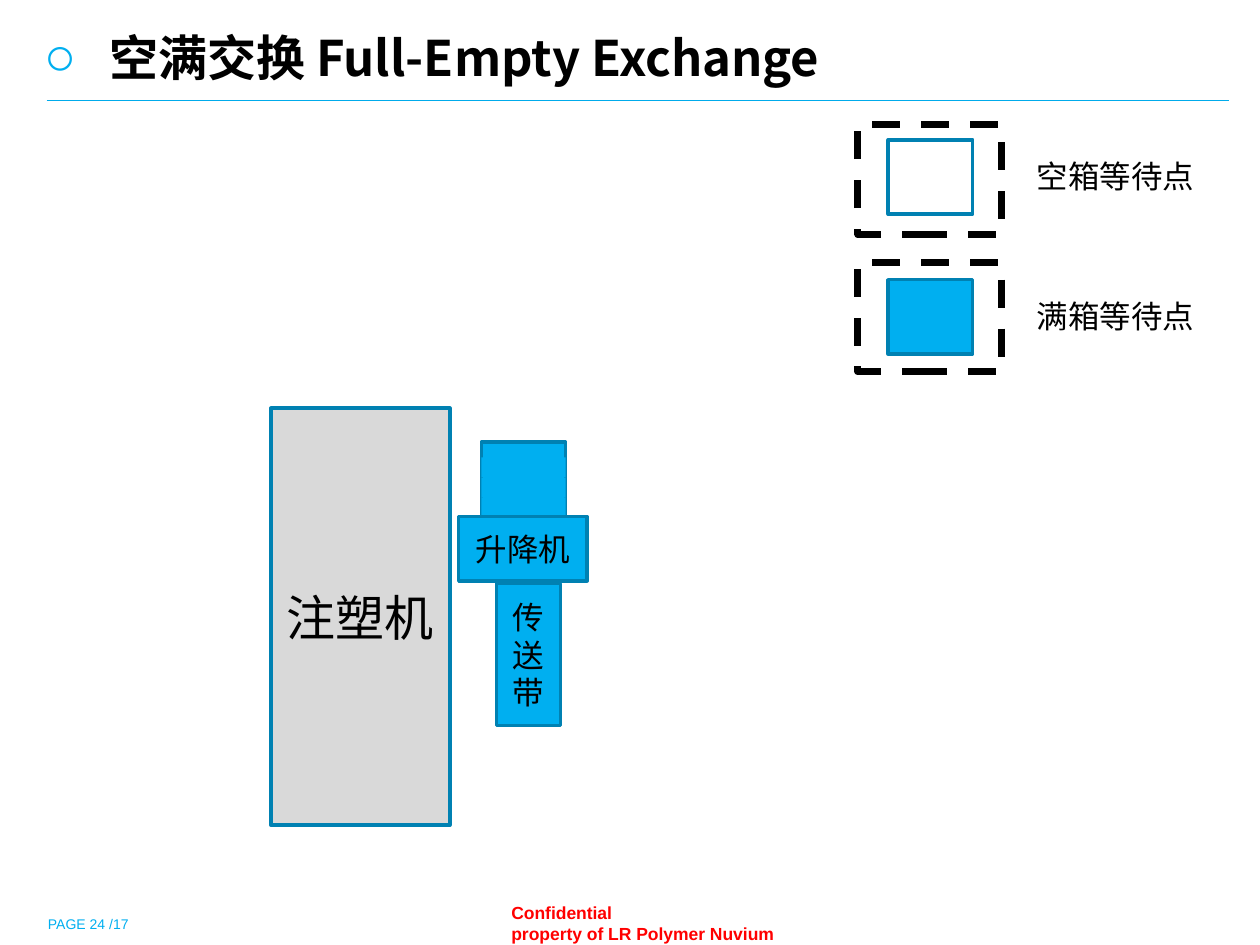
from dataclasses import dataclass
from typing import Optional

from lxml.etree import SubElement
from pptx import Presentation
from pptx.dml.color import RGBColor
from pptx.enum.dml import MSO_LINE
from pptx.enum.shapes import MSO_CONNECTOR, MSO_SHAPE
from pptx.enum.text import MSO_ANCHOR, PP_ALIGN
from pptx.oxml.ns import qn
from pptx.util import Inches, Pt


@dataclass(frozen=True)
class Theme:
    blue: str = "00AFF0"
    edge: str = "0081B2"
    rule: str = "00ABEB"
    grey: str = "D9D9D9"
    white: str = "FFFFFF"
    black: str = "000000"
    red: str = "FF0000"
    latin: str = "Arial"
    cjk: str = "Noto Sans CJK SC"
    heading: int = 28
    label: int = 18
    notice: int = 10
    page: int = 8


THEME = Theme()


@dataclass(frozen=True)
class Box:
    left: float
    top: float
    width: float
    height: float
    fill: Optional[str] = THEME.blue
    edge: Optional[str] = THEME.edge
    weight: float = 2
    dashed: bool = False
    text: str = ""
    size: int = THEME.label


@dataclass(frozen=True)
class Label:
    left: float
    top: float
    width: float
    height: float
    text: str
    size: int = THEME.label
    color: str = THEME.black
    font: str = THEME.latin
    bold: bool = False
    flush: bool = False
    bullet: bool = False


def rgb(value: str) -> RGBColor:
    return RGBColor.from_string(value)


def style_text(frame, size: int, color: str, font: str, bold: bool = False) -> None:
    for paragraph in frame.paragraphs:
        for run in paragraph.runs:
            run.font.size = Pt(size)
            run.font.name = font
            run.font.bold = bold
            run.font.color.rgb = rgb(color)
            SubElement(run.font._element, qn("a:ea"), typeface=THEME.cjk)


def add_bullet(paragraph) -> None:
    properties = paragraph._p.get_or_add_pPr()
    properties.set("marL", str(Inches(0.52)))
    properties.set("indent", str(Inches(-0.52)))
    color = SubElement(properties, qn("a:buClr"))
    SubElement(color, qn("a:srgbClr"), val=THEME.blue)
    SubElement(properties, qn("a:buSzPct"), val="110000")
    SubElement(properties, qn("a:buFont"), typeface=THEME.latin)
    SubElement(properties, qn("a:buChar"), char="○")


def draw_box(slide, box: Box) -> None:
    shape = slide.shapes.add_shape(
        MSO_SHAPE.RECTANGLE, Inches(box.left), Inches(box.top),
        Inches(box.width), Inches(box.height))
    shape.shadow.inherit = False
    if box.fill:
        shape.fill.solid()
        shape.fill.fore_color.rgb = rgb(box.fill)
    else:
        shape.fill.background()
    if box.edge:
        shape.line.color.rgb = rgb(box.edge)
        shape.line.width = Pt(box.weight)
        if box.dashed:
            shape.line.dash_style = MSO_LINE.DASH
    else:
        shape.line.fill.background()
    if box.text:
        frame = shape.text_frame
        frame.text = box.text
        frame.word_wrap = True
        frame.vertical_anchor = MSO_ANCHOR.MIDDLE
        frame.paragraphs[0].alignment = PP_ALIGN.CENTER
        style_text(frame, box.size, THEME.black, THEME.latin)


def draw_label(slide, label: Label) -> None:
    frame = slide.shapes.add_textbox(
        Inches(label.left), Inches(label.top),
        Inches(label.width), Inches(label.height)).text_frame
    frame.word_wrap = True
    frame.text = label.text
    if label.flush:
        frame.margin_left = frame.margin_right = 0
        frame.margin_top = frame.margin_bottom = 0
        frame.vertical_anchor = MSO_ANCHOR.BOTTOM
    if label.bullet:
        add_bullet(frame.paragraphs[0])
    style_text(frame, label.size, label.color, label.font, label.bold)


def draw_rule(slide, left: float, right: float, top: float) -> None:
    rule = slide.shapes.add_connector(
        MSO_CONNECTOR.STRAIGHT, Inches(left), Inches(top), Inches(right), Inches(top))
    rule.line.color.rgb = rgb(THEME.rule)
    rule.line.width = Pt(0.75)
    SubElement(rule._element.spPr, qn("a:effectLst"))


def main() -> None:
    deck = Presentation()
    deck.slide_width, deck.slide_height = Inches(10), Inches(7.5)
    slide = deck.slides.add_slide(deck.slide_layouts[6])
    slide.background.fill.solid()
    slide.background.fill.fore_color.rgb = rgb(THEME.white)

    # Footer
    draw_label(slide, Label(3.96, 7.11, 2.29, 0.43,
                            "Confidential\vproperty of LR Polymer Nuvium",
                            THEME.notice, THEME.red, bold=True))
    draw_label(slide, Label(0.38, 7.15, 8.03, 0.25, "PAGE 24 /17",
                            THEME.page, THEME.blue, flush=True))

    # Heading
    draw_rule(slide, 0.37, 9.75, 0.8)
    draw_label(slide, Label(0.25, 0.17, 9.66, 0.47, "空满交换 Full-Empty Exchange",
                            THEME.heading, font=THEME.cjk, bold=True, bullet=True))

    # Waiting points
    waiting_points = (("空箱等待点", 0.99, THEME.white), ("满箱等待点", 2.08, THEME.blue))
    for row, (name, zone_top, crate_fill) in enumerate(waiting_points):
        crate_top = 1.11 + 1.11 * row
        draw_box(slide, Box(6.81, zone_top, 1.14, 0.87, None, THEME.black, 4, dashed=True))
        draw_box(slide, Box(7.05, crate_top, 0.67, 0.59, crate_fill))
        draw_label(slide, Label(8.13, crate_top + 0.09, 1.62, 0.4, name))

    # Moulding machine and the crate on the lift
    draw_box(slide, Box(2.15, 3.24, 1.42, 3.31, THEME.grey,
                        text="注塑机", size=THEME.heading))
    draw_box(slide, Box(3.82, 3.51, 0.67, 0.59))
    for layer in range(3):
        draw_box(slide, Box(3.82, 3.63 + 0.16 * layer, 0.67, 0.16, edge=None))

    # Lift and conveyor
    draw_box(slide, Box(3.64, 4.1, 1.02, 0.51, text="升降机"))
    draw_box(slide, Box(3.94, 4.63, 0.51, 1.13, text="传送带"))

    deck.save("out.pptx")


if __name__ == "__main__":
    main()
